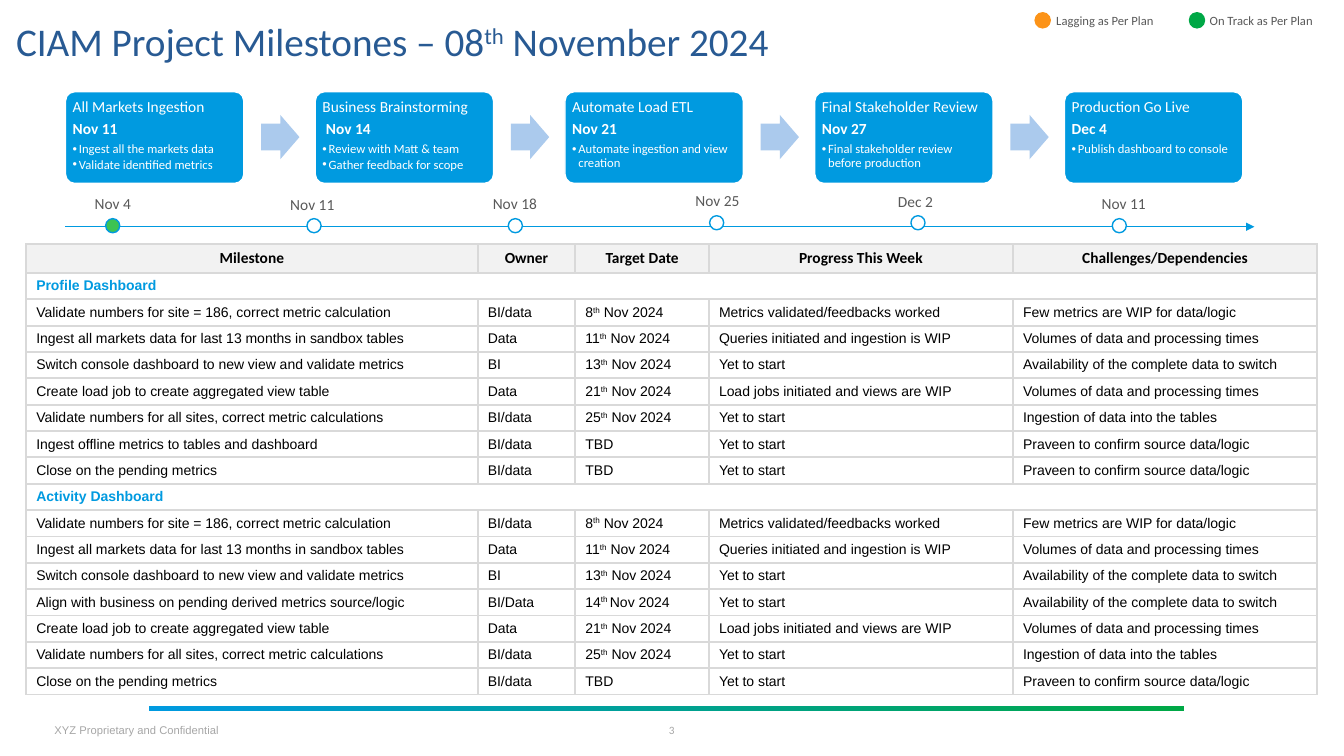
from dataclasses import dataclass

from lxml import etree
from pptx import Presentation
from pptx.dml.color import RGBColor
from pptx.enum import shapes, text
from pptx.oxml import ns
from pptx.util import Pt


@dataclass(frozen=True)
class Theme:
    blue: str = "009AE0"
    navy: str = "285A93"
    pale_blue: str = "ABCAED"
    green: str = "00A846"
    done: str = "3DC353"
    orange: str = "FC9318"
    white: str = "FFFFFF"
    black: str = "000000"
    grey: str = "595959"
    footer: str = "A6A6A6"
    border: str = "D9D9D9"
    header: str = "F2F2F2"
    title_size: float = 28
    label_size: float = 11
    cell_size: float = 10
    small_size: float = 9
    footer_size: float = 8
    heading_font: str = "Calibri"
    body_font: str = "Arial"


T = Theme()
SHAPE, ALIGN, ANCHOR = shapes.MSO_SHAPE, text.PP_ALIGN, text.MSO_ANCHOR

CARDS = [
    ("All Markets Ingestion", "Nov 11", ["Ingest all the markets data", "Validate identified metrics"]),
    ("Business Brainstorming", " Nov 14", ["Review with Matt & team", "Gather feedback for scope"]),
    ("Automate Load ETL", "Nov 21", ["Automate ingestion and view creation"]),
    ("Final Stakeholder Review", "Nov 27", ["Final stakeholder review before production"]),
    ("Production Go Live", "Dec 4", ["Publish dashboard to console"]),
]
# Label, label left, label top, dot top, dot colour
WEEKS = [
    ("Nov 4", 60.5, 135.4, 156.2, T.done),
    ("Nov 11", 200.2, 136.1, 156.2, T.white),
    ("Nov 18", 344.9, 135.4, 156.2, T.white),
    ("Nov 25", 489.6, 133.2, 154.1, T.white),
    ("Dec 2", 634.3, 133.9, 154.1, T.white),
    ("Nov 11", 779.8, 135.4, 156.2, T.white),
]
HEADERS = ["Milestone", "Owner", "Target Date", "Progress This Week", "Challenges/Dependencies"]
COLUMN_WIDTHS = [322.5, 69.8, 95.4, 217.2, 217.4]

# Text between carets is superscript.
NOT_STARTED = "Yet to start"
VOLUMES = "Volumes of data and processing times"
AVAILABILITY = "Availability of the complete data to switch"
SOURCE_LOGIC = "Praveen to confirm source data/logic"
FIRST_STEPS = [
    ("Validate numbers for site = 186, correct metric calculation", "BI/data", "8^th^ Nov 2024",
     "Metrics validated/feedbacks worked", "Few metrics are WIP for data/logic"),
    ("Ingest all markets data for last 13 months in sandbox tables", "Data", "11^th^ Nov 2024",
     "Queries initiated and ingestion is WIP", VOLUMES),
    ("Switch console dashboard to new view and validate metrics", "BI", "13^th^ Nov 2024",
     NOT_STARTED, AVAILABILITY),
]
ALIGN_STEP = ("Align with business on pending derived metrics source/logic", "BI/Data",
              "14^th ^Nov 2024", NOT_STARTED, AVAILABILITY)
LATER_STEPS = [
    ("Create load job to create aggregated view table", "Data", "21^th^ Nov 2024",
     "Load jobs initiated and views are WIP", VOLUMES),
    ("Validate numbers for all sites, correct metric calculations", "BI/data", "25^th^ Nov 2024",
     NOT_STARTED, "Ingestion of data into the tables"),
]
OFFLINE_STEP = ("Ingest offline metrics to tables and dashboard", "BI/data", "TBD",
                NOT_STARTED, SOURCE_LOGIC)
CLOSING_STEP = ("Close on the pending metrics", "BI/data", "TBD", NOT_STARTED, SOURCE_LOGIC)
SECTIONS = [
    ("Profile Dashboard", [*FIRST_STEPS, *LATER_STEPS, OFFLINE_STEP, CLOSING_STEP]),
    ("Activity Dashboard", [*FIRST_STEPS, ALIGN_STEP, *LATER_STEPS, CLOSING_STEP]),
]


def rgb(color):
    return RGBColor.from_string(color)


def write(p, content, size, color, font=T.heading_font, bold=False, align=ALIGN.LEFT):
    """Fill a paragraph; parts between carets become superscript."""
    p.alignment = align
    f = p.font
    f.size, f.name, f.bold = Pt(size), font, bold
    f.color.rgb = rgb(color)
    for i, part in enumerate(content.split("^")):
        if part:
            r = p.add_run()
            r.text = part
            if i % 2:
                r.font._element.set("baseline", "30000")


def add_label(s, box, content, size, color, margins=(7.2, 3.6, 7.2, 3.6),
              anchor=ANCHOR.TOP, wrap=True, **style):
    tf = s.shapes.add_textbox(*map(Pt, box)).text_frame
    tf.word_wrap, tf.vertical_anchor = wrap, anchor
    tf.margin_left, tf.margin_top, tf.margin_right, tf.margin_bottom = map(Pt, margins)
    write(tf.paragraphs[0], content, size, color, **style)
    return tf


def add_figure(s, kind, box, fill, line=None):
    sp = s.shapes.add_shape(kind, *map(Pt, box))
    sp.shadow.inherit = False
    sp.fill.solid()
    sp.fill.fore_color.rgb = rgb(fill)
    if line:
        sp.line.color.rgb = rgb(line)
        sp.line.width = Pt(1)
    else:
        sp.line.fill.background()
    return sp


def add_bullet(p):
    pPr = p._p.get_or_add_pPr()
    pPr.set("marL", str(Pt(4.5)))
    pPr.set("indent", str(-Pt(4.5)))
    defaults = pPr.find(ns.qn("a:defRPr"))
    defaults.addprevious(etree.Element(ns.qn("a:buFont"), typeface=T.body_font))
    defaults.addprevious(etree.Element(ns.qn("a:buChar"), char="•"))


def add_card(s, left, heading, date, bullets):
    sp = add_figure(s, SHAPE.ROUNDED_RECTANGLE, (left, 65.5, 127.4, 65.5), T.blue, T.white)
    sp.adjustments[0] = 0.1
    tf = sp.text_frame
    tf.word_wrap, tf.vertical_anchor = True, ANCHOR.TOP
    tf.margin_left = tf.margin_top = tf.margin_right = tf.margin_bottom = Pt(3.2)
    for i, content in enumerate([heading, date, *bullets]):
        p = tf.paragraphs[0] if i == 0 else tf.add_paragraph()
        is_bullet = i > 1
        p.line_spacing = 0.9
        p.space_after = Pt(1.35 if is_bullet else 3.85)
        write(p, content, T.small_size if is_bullet else T.label_size, T.white, bold=i == 1)
        if is_bullet:
            add_bullet(p)


def add_timeline(s):
    line = s.shapes.add_connector(shapes.MSO_CONNECTOR.STRAIGHT, Pt(46.5), Pt(162), Pt(896), Pt(162))
    line.line.color.rgb = rgb(T.blue)
    line.line.width = Pt(0.5)
    etree.SubElement(line.line._get_or_add_ln(), ns.qn("a:tailEnd"), type="triangle")
    etree.SubElement(line._element.spPr, ns.qn("a:effectLst"))
    for i, (label, left, top, dot_top, fill) in enumerate(WEEKS):
        add_figure(s, SHAPE.OVAL, (75.5 + 143.8 * i, dot_top, 10.1, 10.1), fill, T.blue)
        add_label(s, (left, top, 48, 20.6), label, T.label_size, T.grey)


def style_cell(cell, fill):
    tcPr = cell._tc.get_or_add_tcPr()
    for side in ("lnL", "lnR", "lnT", "lnB"):
        ln = etree.SubElement(tcPr, ns.qn("a:" + side), w=str(Pt(1.5)))
        solid = etree.SubElement(ln, ns.qn("a:solidFill"))
        etree.SubElement(solid, ns.qn("a:srgbClr"), val=T.border)
    cell.fill.solid()
    cell.fill.fore_color.rgb = rgb(fill)
    cell.vertical_anchor = ANCHOR.MIDDLE
    cell.margin_top = cell.margin_bottom = Pt(3)


def add_milestone_table(s):
    header_style = dict(size=T.label_size, color=T.black, bold=True, align=ALIGN.CENTER)
    section_style = dict(size=T.cell_size, color=T.blue, font=T.body_font, bold=True)
    step_style = dict(size=T.cell_size, color=T.black, font=T.body_font)
    rows = [(HEADERS, header_style)]
    for name, steps in SECTIONS:
        rows.append(([name, "", "", "", ""], section_style))
        rows += [(step, step_style) for step in steps]

    table = s.shapes.add_table(len(rows), len(HEADERS), Pt(18.7), Pt(174.4),
                               Pt(sum(COLUMN_WIDTHS)), Pt(322)).table
    table.first_row = table.horz_banding = False
    for column, width in zip(table.columns, COLUMN_WIDTHS):
        column.width = Pt(width)
    for i, (contents, style) in enumerate(rows):
        table.rows[i].height = Pt(18.85 if i else 20.6)
        for j, content in enumerate(contents):
            cell = table.cell(i, j)
            style_cell(cell, T.white if i else T.header)
            write(cell.text_frame.paragraphs[0], content, **style)
        if style is section_style:
            table.cell(i, 0).merge(table.cell(i, len(HEADERS) - 1))


def add_footer(s):
    bar = add_figure(s, SHAPE.RECTANGLE, (106.6, 504, 739.4, 3.6), T.blue)
    bar.fill.gradient()
    bar.fill.gradient_angle = 0
    for stop, color in zip(bar.fill.gradient_stops, (T.blue, T.green)):
        stop.color.rgb = rgb(color)
    style = dict(size=T.footer_size, color=T.footer, margins=(0, 0, 0, 0), anchor=ANCHOR.MIDDLE)
    add_label(s, (38.9, 513.4, 130, 16.6), "XYZ Proprietary and Confidential", font=T.body_font, **style)
    add_label(s, (466.6, 513.4, 26.6, 16.6), "3", align=ALIGN.CENTER, **style)


def main():
    prs = Presentation()
    prs.slide_width, prs.slide_height = Pt(960), Pt(540)
    s = prs.slides.add_slide(prs.slide_layouts[6])

    title = add_label(s, (11.5, 6.5, 908, 36.7), "CIAM Project Milestones – 08^th^ November 2024",
                      T.title_size, T.navy, margins=(0, 14.4, 0, 0), anchor=ANCHOR.MIDDLE)
    title.paragraphs[0].line_spacing = 0.8
    add_footer(s)
    add_milestone_table(s)
    for dot_left, label_left, label_top, color, label in [
        (739.4, 747.4, 5.8, T.orange, "Lagging as Per Plan"),
        (849.6, 857, 5.4, T.green, "On Track as Per Plan"),
    ]:
        add_figure(s, SHAPE.FLOWCHART_CONNECTOR, (dot_left, 9.1, 10.8, 10.8), color, color)
        add_label(s, (label_left, label_top, 91.4, 18), label, T.small_size, T.grey)
    for i, card in enumerate(CARDS):
        left = 46.8 + 178.4 * i
        add_card(s, left, *card)
        if i < len(CARDS) - 1:
            arrow = add_figure(s, SHAPE.RIGHT_ARROW, (left + 139.7, 82.1, 27.4, 31.7), T.pale_blue)
            arrow.adjustments[0] = 0.6
    add_timeline(s)
    prs.save("out.pptx")


if __name__ == "__main__":
    main()
